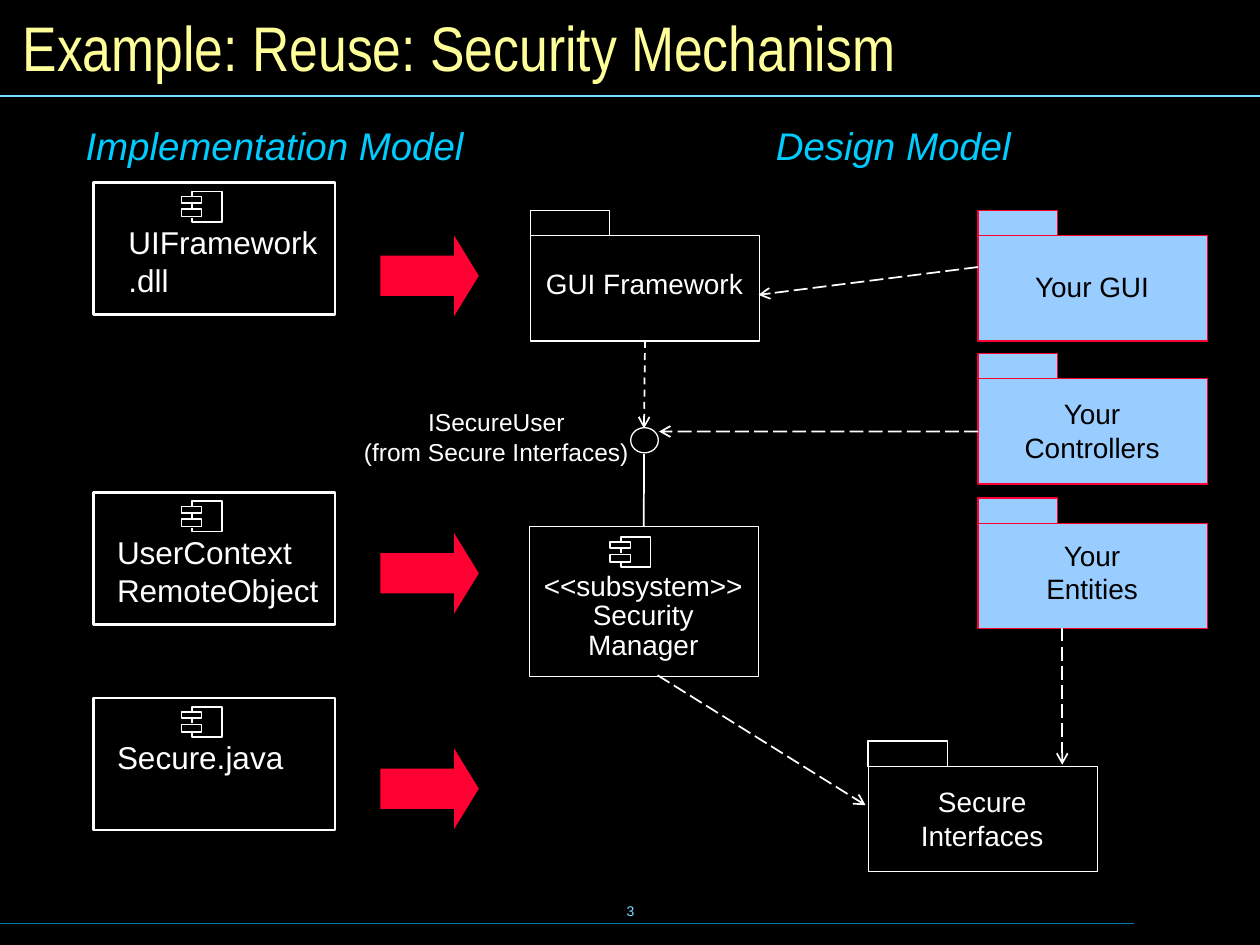
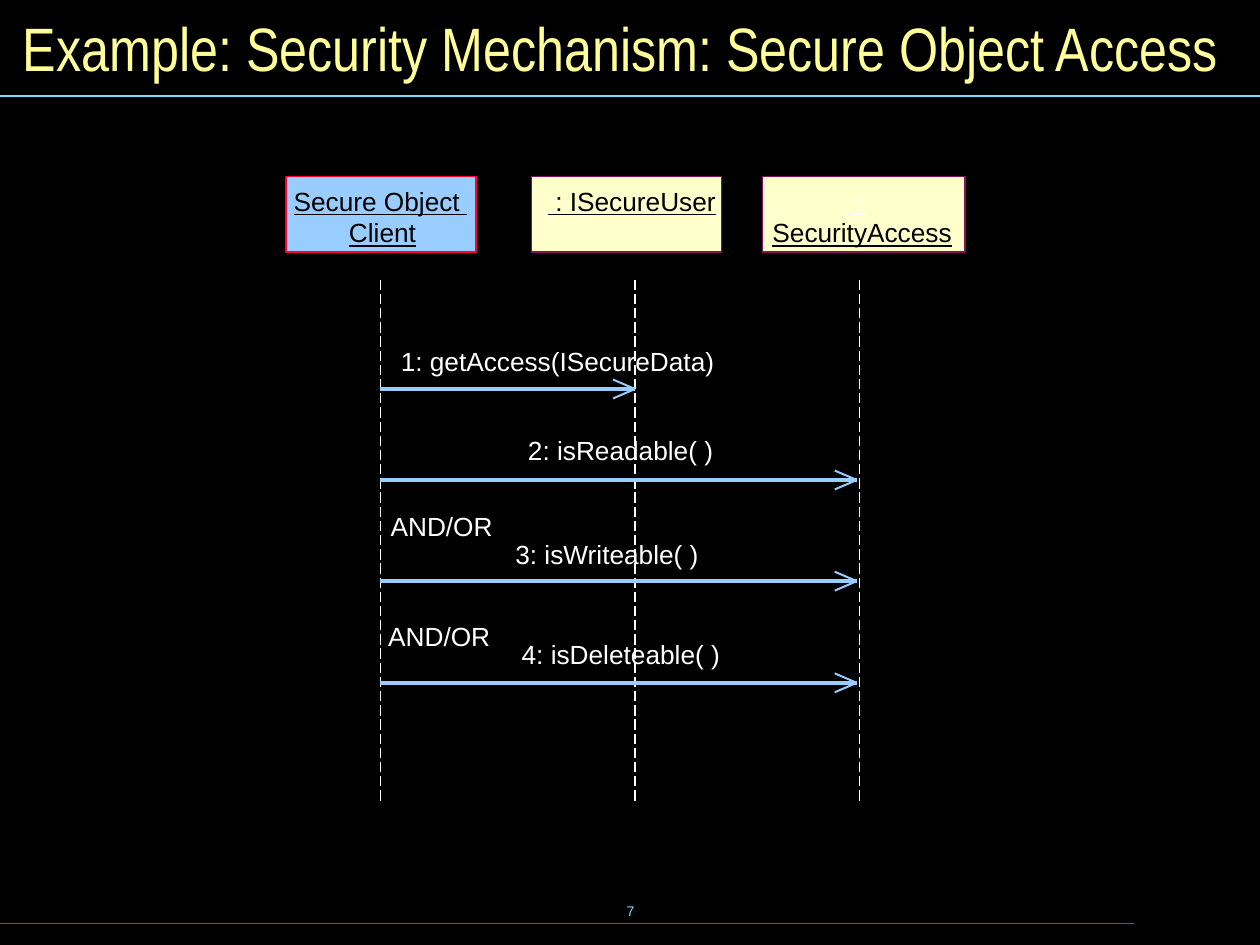
from lxml.etree import SubElement
from pptx import Presentation
from pptx.dml.color import RGBColor
from pptx.enum.dml import MSO_LINE as Dash
from pptx.enum.shapes import MSO_CONNECTOR as Conn, MSO_SHAPE as Form
from pptx.enum.text import MSO_ANCHOR as Anchor, MSO_AUTO_SIZE as Auto, PP_ALIGN as Align
from pptx.oxml.ns import qn
from pptx.util import Pt

WHITE, BLACK, RED = "FFFFFF", "000000", "FF0033"
BLUE, CREAM, PLUM = "99CCFF", "FFFFCC", "8A0E5E"
GOLD, CYAN, AQUA, TEAL = "FFFF99", "00CCFF", "73E1FF", "007E9F"
INSET = (7.2, 3.6)


def tint(code):
    return RGBColor.from_string(code)


def box(*sizes):
    return [Pt(size) for size in sizes]


# Shared drawing tools
def paint(shape, fill=None, line=None, width=0):
    shape.shadow.inherit = False
    if fill:
        shape.fill.solid()
        shape.fill.fore_color.rgb = tint(fill)
    else:
        shape.fill.background()
    if line:
        shape.line.color.rgb = tint(line)
        shape.line.width = Pt(width)
    else:
        shape.line.fill.background()
    return shape


def block(parts, x, y, w, h, fill=None, line=WHITE, width=0, form=Form.RECTANGLE):
    return paint(parts.add_shape(form, *box(x, y, w, h)), fill, line, width)


def rule(parts, x1, y1, x2, y2, color=WHITE, width=1, dash=None, arrow=False):
    line = parts.add_connector(Conn.STRAIGHT, *box(x1, y1, x2, y2))
    line.line.color.rgb = tint(color)
    line.line.width = Pt(width)
    if dash:
        line.line.dash_style = dash
    if arrow:
        SubElement(line.line._get_or_add_ln(), qn("a:tailEnd"), type="arrow")
    SubElement(line._element.spPr, qn("a:effectLst"))
    return line


def style(frame, text, size, color, font="Arial", align=Align.LEFT,
          inset=(0, 0), anchor=Anchor.TOP, wrap=True):
    frame.text = text
    frame.word_wrap = wrap
    frame.auto_size = Auto.NONE
    frame.vertical_anchor = anchor
    frame.margin_left = frame.margin_right = Pt(inset[0])
    frame.margin_top = frame.margin_bottom = Pt(inset[1])
    for para in frame.paragraphs:
        para.alignment = align
        para.font.name, para.font.size = font, Pt(size)
        para.font.color.rgb = tint(color)


def label(parts, x, y, w, h, text, size, color=WHITE, **look):
    frame = parts.add_textbox(*box(x, y, w, h)).text_frame
    style(frame, text, size, color, **look)
    return frame.paragraphs


def frame_slide(deck, title, size, number):
    """Add a slide with its background, title, rules and page number."""
    slide = deck.slides.add_slide(deck.slide_layouts[5])
    slide.background.fill.solid()
    slide.background.fill.fore_color.rgb = tint(BLACK)
    parts = slide.shapes
    head = parts.title
    head.left, head.top, head.width, head.height = box(5.8, 5.8, 708.5, 41.8)
    style(head.text_frame, title, size, GOLD, font="Arial Narrow",
          inset=INSET, anchor=Anchor.MIDDLE)
    rule(parts, 0, 54.9, 720, 54.9, AQUA, 0.75)
    rule(parts, 0, 527.8, 648, 527.8, TEAL, 0.75)
    label(parts, 246.2, 502.6, 228.2, 36, number, 8, AQUA, align=Align.CENTER,
          inset=INSET, anchor=Anchor.MIDDLE, wrap=False)
    return parts


# Parts of the reuse diagram
def icon(parts, x, y):
    """Component symbol: a box with two lugs on its left side."""
    group = parts.add_group_shape().shapes
    for top, high in ((2.9, 3.6), (10.1, 4.3)):
        block(group, x, y + top, 11.5, high, width=1)
    edge = [box(x + dx, y + dy) for dx, dy in
            ((6.1, 2.9), (6.1, 0), (23, 0), (23, 17.3), (6.1, 17.3), (6.1, 15))]
    pen = group.build_freeform(*edge[0])
    pen.add_line_segments(edge[1:], close=False)
    paint(pen.convert_to_shape(), line=WHITE, width=1)
    rule(group, x + 6.1, y + 7.2, x + 6.1, y + 9.4)


def component(parts, x, y, text, indent, drop):
    """Implementation file and the red arrow beside it."""
    block(parts, x, y, 138.2, 75.4, width=1.5)
    icon(parts, x + 50.4, y + 5)
    label(parts, x + indent, y + 19.5, 138.2 - indent, 50.4, text, 18, inset=INSET)
    arrow = block(parts, x + 164.1, y + drop, 56.2, 46.1, RED, None,
                  form=Form.RIGHT_ARROW)
    arrow.adjustments[0], arrow.adjustments[1] = 0.5, 0.306


def package(parts, x, y, text, drop, fill=None, line=WHITE, color=WHITE):
    """Folder with a tab; returns its body."""
    group = parts.add_group_shape().shapes
    body = block(group, x, y + 14.6, 131, 60.1, fill, line)
    block(group, x, y, 45.4, 14.6, fill, line)
    label(group, x, y + drop, 130.3, 38.2, text, 16, color, align=Align.CENTER)
    return body


def subsystem(parts, x, y):
    body = block(parts, x, y, 131, 85.7)
    icon(parts, x + 46.4, y + 5.8)
    for para in label(parts, x, y + 25.9, 130.3, 51.1,
                      "<<subsystem>>\vSecurity\nManager", 16, align=Align.CENTER):
        para.line_spacing = Pt(17)
    return body


def reuse_slide(deck):
    parts = frame_slide(deck, "Example: Reuse: Security Mechanism", 36, "3")
    for x, text in ((39.6, "Implementation Model"), (393.1, "Design Model")):
        label(parts, x, 66.2, 234.7, 33.8, text, 22, CYAN, align=Align.CENTER,
              inset=INSET)[0].font.italic = True
    for y, text, indent, drop in ((104.4, "UIFramework\n.dll", 13, 30.2),
                                  (281.5, "UserContext\nRemoteObject", 6.5, 23.1),
                                  (398.9, "Secure.java", 6.5, 28.8)):
        component(parts, 53.3, y, text, indent, drop)

    # Packages and subsystem
    gui = package(parts, 303.1, 120.2, "GUI Framework", 32.4)
    package(parts, 496.1, 423.4, "Secure\nInterfaces", 25.2)
    yours = [package(parts, 558.9, y, text, drop, BLUE, RED, BLACK)
             for y, text, drop in ((120.2, "Your GUI", 33.9),
                                   (201.9, "Your\nControllers", 24.9),
                                   (284.6, "Your\nEntities", 22.9))]
    manager = subsystem(parts, 302.4, 301)

    # Secure user interface
    block(parts, 360.4, 244.4, 15.8, 14.4, width=0.75, form=Form.OVAL)
    stem = rule(parts, 368, 259.5, 368, 301)
    stem.end_connect(manager, 0)
    label(parts, 200.9, 229, 165.6, 41, "ISecureUser\v(from Secure Interfaces)", 14,
          align=Align.CENTER, inset=INSET, anchor=Anchor.MIDDLE, wrap=False)

    # Dependencies
    use = rule(parts, 368, 195.8, 368, 244.8, dash=Dash.DASH, arrow=True)
    use.begin_connect(gui, 2)
    links = [rule(parts, *ends, dash=Dash.LONG_DASH, arrow=True) for ends in (
        (558.9, 246.6, 376.6, 246.6), (558.9, 152.6, 433.4, 168.5),
        (375.8, 385.9, 494.6, 460.1), (607, 358.6, 607, 437))]
    links[0].begin_connect(yours[1], 1)


# Parts of the sequence diagram
def lifeline(parts, x, w, axis, fill, line, names):
    """Object head with its name lines and the dashed line below."""
    y = 100.8
    block(parts, x, y, w, 43.2, fill, line)
    for row, (text, indent, color) in enumerate(names):
        label(parts, x + indent, y + 5 + 18 * row, w - 2 * indent, 18, text, 15,
              color, wrap=False)[0].font.underline = True
    rule(parts, axis, 159.8, axis, 457.9, width=0.75, dash=Dash.LONG_DASH)


def message(parts, y, end, text, x, rise):
    """Call arrow with an open head and a caption above it."""
    rule(parts, 217.4, y, end, y, BLUE, 0)
    for side in (5.4, -5.4):
        rule(parts, end, y, end - 12.6, y + side, BLUE, 1.13)
    label(parts, x, y - rise, 110, 18, text, 15, wrap=False)


def access_slide(deck):
    parts = frame_slide(
        deck, "Example: Security Mechanism: Secure Object Access", 35, "7")
    lifeline(parts, 163.4, 108.7, 217.4, BLUE, RED,
             (("Secure Object ", 4.4, BLACK), ("Client", 36, BLACK)))
    lifeline(parts, 303.8, 108.7, 362.9, CREAM, PLUM,
             ((" : ISecureUser", 9.4, BLACK),))
    lifeline(parts, 435.6, 115.9, 491, CREAM, PLUM,
             ((" :", 51.1, WHITE), ("SecurityAccess", 5.8, BLACK)))
    for call in ((222.3, 362.9, "1: getAccess(ISecureData)", 229, 25),
                 (274.3, 489.6, "2: isReadable( )", 301.7, 25.9),
                 (332.1, 489.6, "3: isWriteable( )", 294.5, 24.7),
                 (390.2, 489.6, "4: isDeleteable( )", 298.1, 25.2)):
        message(parts, *call)
    for x, y in ((223.2, 291.6), (221.8, 354.2)):
        label(parts, x, y, 58.3, 18, "AND/OR", 15, wrap=False)


def main():
    deck = Presentation()
    deck.slide_width, deck.slide_height = box(720, 540)
    reuse_slide(deck)
    access_slide(deck)
    deck.save("out.pptx")


if __name__ == "__main__":
    main()
